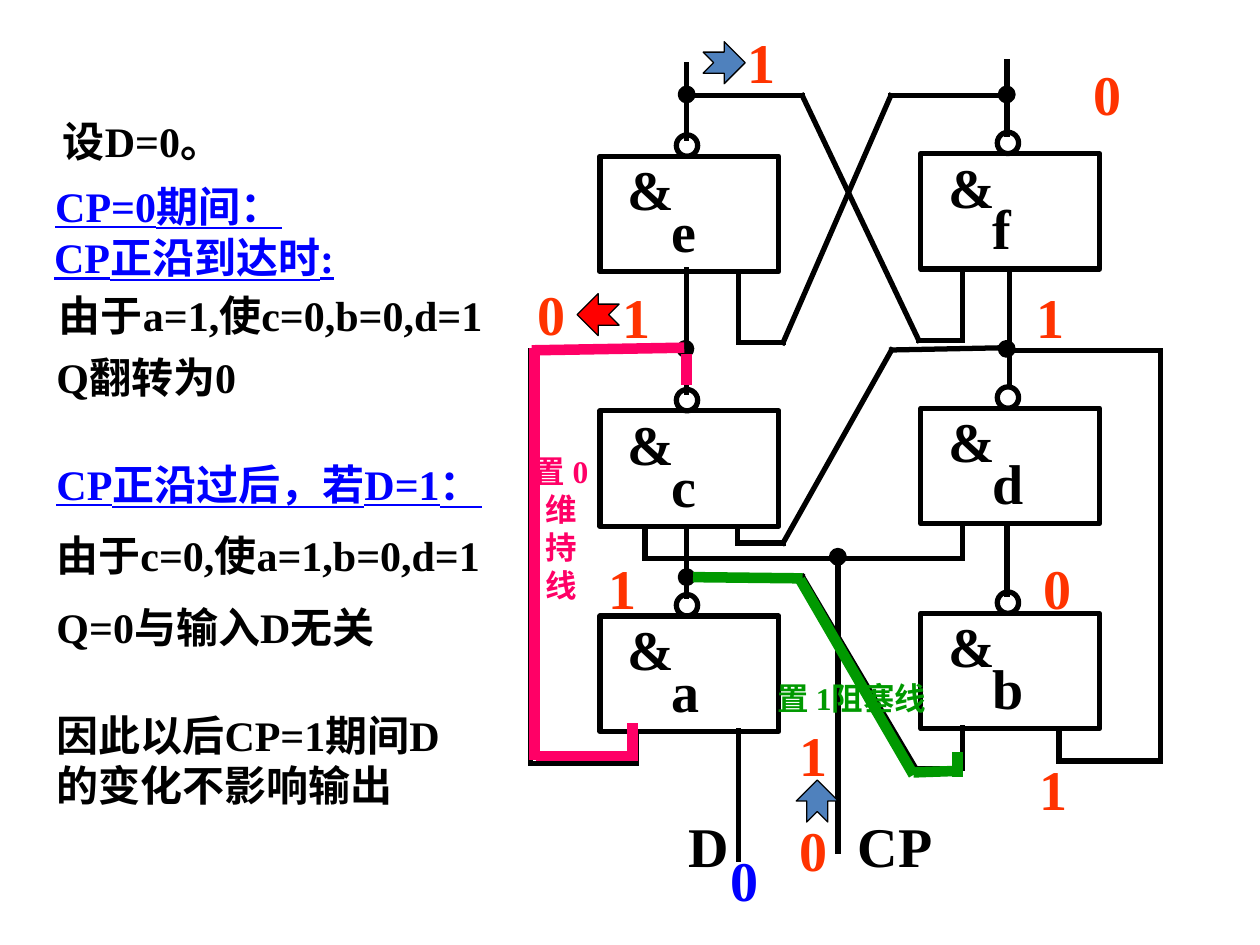
from itertools import pairwise
from lxml.etree import SubElement
from pptx import Presentation
from pptx.dml.color import RGBColor
from pptx.enum.shapes import MSO_CONNECTOR as CONN, MSO_SHAPE as SHAPE
from pptx.enum.text import MSO_ANCHOR as ANCHOR, MSO_AUTO_SIZE as AUTO, PP_ALIGN as ALIGN
from pptx.oxml.ns import qn
from pptx.util import Pt

BLACK = RGBColor(0x00, 0x00, 0x00)
BLUE = RGBColor(0x00, 0x00, 0xFF)
ORANGE = RGBColor(0xFF, 0x33, 0x00)
RED = RGBColor(0xFF, 0x00, 0x00)
STEEL = RGBColor(0x4F, 0x81, 0xBD)
PINK = RGBColor(0xFF, 0x00, 0x66)
GREEN = RGBColor(0x00, 0x99, 0x00)
FONT = "Times New Roman"

WIRES = [
    [(92.4, 36.7), (92.4, 79)],
    [(275.5, 35.3), (275.5, 77)],
    [(92.4, 54.7), (158.5, 54.7), (225, 194.4), (250.1, 194.4), (250.1, 154.1)],
    [(275.5, 54.7), (209, 54.7), (147.5, 195.8), (121.9, 195.8), (121.9, 155.5)],
    [(92.4, 154.1), (92.4, 224)],
    [(276.7, 154.1), (276.7, 221)],
    [(275.5, 198.7), (209.5, 200), (147.5, 310.3), (121.5, 310.3), (121.5, 301)],
    [(92.4, 301), (92.4, 341)],
    [(68.6, 301), (68.6, 319), (250.1, 319), (250.1, 299.5)],
    [(178.8, 319), (178.8, 486.7)],
    [(275.5, 299.5), (275.5, 339.8)],
    [(121.9, 417.6), (121.9, 491)],
    [(92.4, 331), (158.6, 329.5), (223.4, 439.2), (250.1, 439.2), (250.1, 416)],
    [(275.5, 200.2), (363.1, 200.2), (363.1, 434.9), (305.2, 434.9), (305.2, 417)],
    [(92.4, 200.2), (3.1, 200.2), (3.1, 436.3), (63.6, 436.3), (63.6, 418.3)],
]
DOTS = [(92.4, 54), (275.3, 54), (91.7, 199.4), (275.3, 199.4),
        (178.8, 318.2), (92.4, 329.8)]
HOLD_LINES = [
    [(91, 198.7), (3.8, 200.2)], [(5.3, 198.7), (5.3, 434.2)],
    [(63.6, 432), (6, 432)], [(61.4, 413.3), (61.4, 434.9)],
    [(92.4, 202.3), (92.4, 220.3)],
]
BLOCK_LINES = [
    [(158.6, 330.5), (96, 329.8)], [(157.2, 331.2), (222, 442.8)],
    [(247.2, 429.8), (247.2, 444.2)], [(245, 440.6), (222, 441.4)],
]
LEVELS = [
    ("0", 150, 462.2), ("1", 285.4, 157.7), ("1", 48.5, 157.7),
    ("1", 286.8, 427.7), ("1", 40.6, 312.5), ("0", 289, 312.5),
    ("1", 150, 408.2), ("0", 0.2, 156.2), ("1", 119.8, 12.2), ("0", 317.8, 30.2),
]
ARROWS = [(29.8, 167.8, 180, RED), (155, 445.7, 270, STEEL), (101.8, 23.8, 0, STEEL)]


def text(s, x, y, w, h, lines, size=32, color=BLACK, underline=False,
         align=None, anchor=ANCHOR.TOP, spacing=None):
    tf = s.shapes.add_textbox(Pt(x), Pt(y), Pt(w), Pt(h)).text_frame
    tf.word_wrap = True
    tf.auto_size = AUTO.SHAPE_TO_FIT_TEXT
    tf.vertical_anchor = anchor
    for i, line in enumerate(lines if isinstance(lines, list) else [lines]):
        p = tf.paragraphs[0] if i == 0 else tf.add_paragraph()
        p.alignment = align
        p.line_spacing = spacing
        if i:
            p.space_before = Pt(12)
        r = p.add_run()
        r.text = line
        r.font.name, r.font.size, r.font.bold = FONT, Pt(size), True
        r.font.underline = underline and i == 0
        r.font.color.rgb = color if i == 0 else BLACK


def shape(s, kind, x, y, w, h, fill=None, width=3):
    sp = s.shapes.add_shape(kind, Pt(x), Pt(y), Pt(w), Pt(h))
    sp.shadow.inherit = False
    if fill is None:
        sp.fill.background()
    else:
        sp.fill.solid()
        sp.fill.fore_color.rgb = fill
    sp.line.color.rgb = BLACK
    sp.line.width = Pt(width)
    return sp


def wire(s, x, y, points, color=BLACK, width=3, cap="sq"):
    for (x1, y1), (x2, y2) in pairwise(points):
        c = s.shapes.add_connector(CONN.STRAIGHT, Pt(x + x1), Pt(y + y1),
                                   Pt(x + x2), Pt(y + y2))
        c.line.color.rgb = color
        c.line.width = Pt(width)
        c.line._ln.set("cap", cap)
        SubElement(c._element.spPr, qn("a:effectLst"))


def gate(s, x, y, name):
    shape(s, SHAPE.RECTANGLE, x, y, 102.2, 66)
    shape(s, SHAPE.OVAL, x + 43.7, y - 12.2, 12.2, 12.2)
    text(s, x + 8.5, y - 4.3, 72, 45.4, "&")
    text(s, x + 33.8, y + 19.4, 51, 45.4, name)


def circuit(s, x, y):
    for points in WIRES:
        wire(s, x, y, points)
    for row, names in zip((89.3, 234.8, 352), ("ef", "cd", "ab")):
        gate(s, x + 42.8, y + row, names[0])
        gate(s, x + 226.2, y + row - 1.5, names[1])
    for dx, dy in DOTS:
        shape(s, SHAPE.OVAL, x + dx - 3.6, y + dy - 3.6, 7.2, 7.2, BLACK)
    text(s, x + 86.6, y + 460, 35.3, 46, "D")
    text(s, x + 183.1, y + 460, 65.5, 46, "CP")


def signals(s, x, y):
    text(s, x + 110.4, y + 479.5, 31.7, 46, "0", color=BLUE)
    for level, dx, dy in LEVELS:
        text(s, x + dx, y + dy, 36, 46, level, color=ORANGE)
    for dx, dy, angle, fill in ARROWS:
        sp = shape(s, SHAPE.NOTCHED_RIGHT_ARROW, x + dx, y + dy, 24, 24, fill, 0.75)
        sp.rotation = angle


def feedback(s, x, y):
    for lines, color in ((HOLD_LINES, PINK), (BLOCK_LINES, GREEN)):
        for points in lines:
            wire(s, x, y, points, color, 6, "flat")
    text(s, x - 3.4, y + 254.2, 48.2, 95, "置 0 维持线", size=18, color=PINK,
         align=ALIGN.CENTER, anchor=ANCHOR.MIDDLE)
    text(s, x + 137, y + 383.8, 138.2, 29.5, "置 1阻塞线", size=18, color=GREEN,
         anchor=ANCHOR.MIDDLE)


def explanation(s, x, y):
    head = {"size": 24, "color": BLUE, "underline": True}
    text(s, x + 4.8, y, 271, 36.7, "设D=0。", size=24)
    text(s, x + 0.5, y + 31, 255, 38.9, "CP=0期间：", spacing=1.2, **head)
    text(s, x - 0.2, y + 66.3, 223, 36.7, "CP正沿到达时:", **head)
    text(s, x + 2.6, y + 99.4, 324, 36, "由于a=1,使c=0,b=0,d=1", size=24)
    text(s, x + 1.2, y + 134.7, 150, 36.7, "Q翻转为0", size=24)
    text(s, x + 1.2, y + 195.9, 283, 123.8,
         ["CP正沿过后，若D=1：", "由于c=0,使a=1,b=0,d=1", "Q=0与输入D无关"], **head)
    text(s, x + 1.2, y + 339.2, 239, 65.5, "因此以后CP=1期间D的变化不影响输出", size=24)


prs = Presentation()
prs.slide_width, prs.slide_height = Pt(720), Pt(540)
slide = prs.slides.add_slide(prs.slide_layouts[6])
circuit(slide, 300, 0)
explanation(slide, 24, 62.6)
signals(slide, 300, 0)
feedback(slide, 300, 0)
prs.save("out.pptx")
